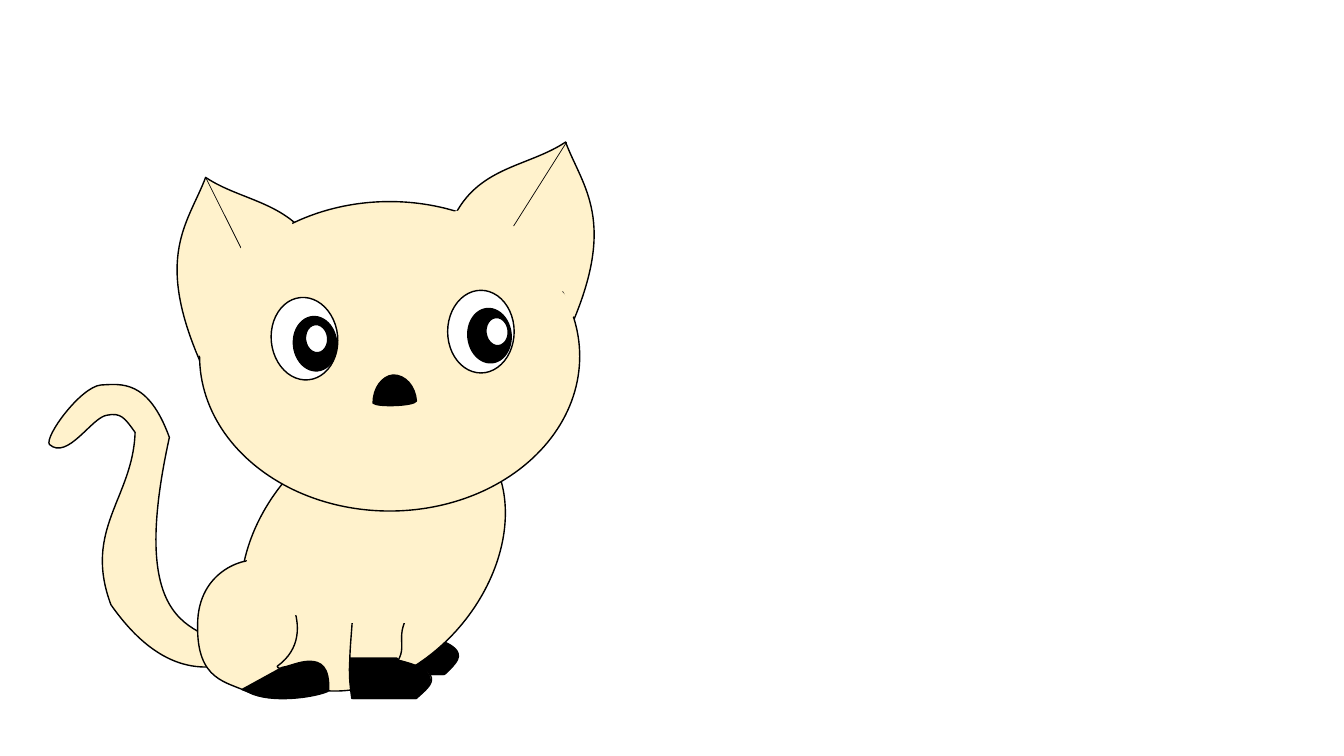
from dataclasses import dataclass
from math import cos, radians, sin
from typing import Optional, Union

from lxml import etree
from pptx import Presentation
from pptx.dml.color import RGBColor
from pptx.enum.shapes import MSO_CONNECTOR as CONN, MSO_SHAPE as SHAPE
from pptx.oxml.ns import qn
from pptx.util import Emu, Pt

PX = 9144  # EMU per px, 100 px to the inch
CURVE_STEPS = 24
CREAM, BLACK, WHITE = "FFF2CC", "000000", "FFFFFF"

Point = tuple[float, float]


@dataclass
class Preset:
    kind: SHAPE
    box: tuple[int, int, int, int]
    fill: str = CREAM
    rotation: float = 0
    line: Optional[str] = BLACK


@dataclass
class Outline:
    """Closed outline; a segment holds 2 numbers (line) or 6 (cubic curve)."""
    start: tuple[int, int]
    segments: list[tuple[int, ...]]
    fill: str = CREAM
    rotation: float = 0


@dataclass
class Stroke:
    start: tuple[int, int]
    end: tuple[int, int]


Part = Union[Preset, Outline, Stroke]


def px(n: float) -> Emu:
    return Emu(round(n * PX))


def rgb(color: str) -> RGBColor:
    return RGBColor.from_string(color)


def moved(outline: Outline, dx: int, dy: int, mirror: bool = False) -> Outline:
    """Shift an outline, after flipping it about x = 0 if mirrored."""
    sign = -1 if mirror else 1

    def move(values: tuple[int, ...]) -> tuple[int, ...]:
        return tuple(v + dy if i % 2 else sign * v + dx for i, v in enumerate(values))

    return Outline(move(outline.start), [move(s) for s in outline.segments],
                   outline.fill, sign * outline.rotation % 360)


def turn(point: Point, degrees: float) -> Point:
    x, y = point
    a = radians(degrees)
    return x * cos(a) - y * sin(a), x * sin(a) + y * cos(a)


def pairs(segment: tuple[int, ...]) -> list[Point]:
    return list(zip(segment[::2], segment[1::2]))


def trace(steps: list[list[Point]]) -> list[Point]:
    """Points along the outline, close enough to measure its box."""
    points = list(steps[0])
    for step in steps[1:]:
        if len(step) == 1:
            points += step
            continue
        ends = [points[-1], *step]
        for i in range(1, CURVE_STEPS + 1):
            t = i / CURVE_STEPS
            weights = ((1 - t) ** 3, 3 * t * (1 - t) ** 2, 3 * t * t * (1 - t), t ** 3)
            points.append((sum(w * e[0] for w, e in zip(weights, ends)),
                           sum(w * e[1] for w, e in zip(weights, ends))))
    return points


def style(sp, fill: str, line: Optional[str]) -> None:
    sp.shadow.inherit = False
    sp.fill.solid()
    sp.fill.fore_color.rgb = rgb(fill)
    if line:
        sp.line.color.rgb = rgb(line)
        sp.line.width = Pt(1)
    else:
        sp.line.fill.background()


def draw_preset(shapes, part: Preset) -> None:
    sp = shapes.add_shape(part.kind, *map(px, part.box))
    sp.rotation = part.rotation
    style(sp, part.fill, part.line)


def draw_outline(shapes, part: Outline) -> None:
    """Points are as seen on the slide, so turn them back before rotating."""
    steps = [[turn(p, -part.rotation) for p in pairs(seg)]
             for seg in (part.start, *part.segments)]
    xs, ys = zip(*trace(steps))
    left, top, right, bottom = min(xs), min(ys), max(xs), max(ys)
    w, h = right - left, bottom - top
    cx, cy = turn((left + w / 2, top + h / 2), part.rotation)
    x, y = cx - w / 2, cy - h / 2

    builder = shapes.build_freeform(px(x), px(y))
    builder.add_line_segments([(px(x + w), px(y + h))], close=True)
    sp = builder.convert_to_shape()
    sp.rotation = part.rotation
    style(sp, part.fill, BLACK)

    contour = sp._element.find(".//" + qn("a:path"))
    for child in list(contour):
        contour.remove(child)
    for i, step in enumerate(steps):
        tag = "a:moveTo" if i == 0 else "a:lnTo" if len(step) == 1 else "a:cubicBezTo"
        command = etree.SubElement(contour, qn(tag))
        for px_x, px_y in step:
            etree.SubElement(command, qn("a:pt"),
                             x=str(int(px(px_x - left))), y=str(int(px(px_y - top))))
    etree.SubElement(contour, qn("a:close"))


def draw_stroke(shapes, part: Stroke) -> None:
    cxn = shapes.add_connector(CONN.STRAIGHT, *map(px, part.start + part.end))
    cxn.line.color.rgb = rgb(BLACK)
    cxn.line.width = Pt(0.5)
    etree.SubElement(cxn._element.spPr, qn("a:effectLst"))


DRAW = {Preset: draw_preset, Outline: draw_outline, Stroke: draw_stroke}


def ellipse(x: int, y: int, w: int, h: int, fill: str = CREAM,
            rotation: float = 0) -> Preset:
    return Preset(SHAPE.OVAL, (x, y, w, h), fill, rotation)


def patch(kind: SHAPE, x: int, y: int, w: int, h: int, rotation: float = 0) -> Preset:
    """Unlined cream area that hides the lines beneath it."""
    return Preset(kind, (x, y, w, h), CREAM, rotation, None)


EYE_TILT = 354.3

back_leg = Outline((377, 576), [
    (401, 547, 412, 527, 448, 490), (459, 626, 446, 617, 415, 632),
    (469, 644, 451, 660, 441, 669), (377, 669), (370, 634, 377, 607, 377, 576)])
back_paw = Outline((422, 629), [
    (375, 629), (375, 631), (374, 643, 375, 656, 377, 669), (440, 669),
    (450, 660, 475, 644, 422, 631), (422, 629)], BLACK)
tail = Outline((49, 441), [
    (44, 433, 80, 384, 100, 382), (120, 381, 147, 376, 168, 434),
    (118, 661, 224, 611, 235, 657), (209, 664, 162, 674, 110, 600),
    (82, 525, 132, 494, 134, 429), (124, 415, 120, 409, 106, 412),
    (91, 414, 67, 457, 49, 441)])
left_ear = Outline((200, 362), [
    (152, 254, 187, 221, 204, 176), (240, 200, 288, 200, 313, 247),
    (200, 362)], CREAM, 329.1)
haunch = Outline((196, 620), [
    (196, 564, 247, 551, 260, 557), (273, 564, 322, 627, 275, 661),
    (276, 672, 328, 632, 325, 686), (311, 692, 269, 698, 247, 687),
    (225, 676, 195, 676, 196, 620)])
front_leg = Outline((350, 599), [
    (413, 599), (388, 629, 405, 638, 395, 655), (449, 668, 423, 683, 413, 693),
    (350, 693), (343, 657, 350, 630, 350, 599)])
nose = Outline((413, 398), [
    (412, 383, 402, 372, 390, 372), (379, 373, 370, 385, 370, 400),
    (374, 404, 410, 403, 413, 398)], BLACK, 357.4)
hind_paw = Outline((307, 656), [
    (297, 656, 287, 661, 280, 662), (280, 662), (240, 684), (246, 686),
    (268, 698, 312, 691, 326, 685), (327, 661, 318, 656, 307, 656)], BLACK, 240.1)

CAT: list[Part] = [
    back_leg,
    back_paw,
    tail,
    ellipse(257, 396, 226, 305, rotation=40.7),  # body
    left_ear,
    moved(left_ear, 765, -35, mirror=True),
    Stroke((204, 176), (265, 298)),
    Stroke((562, 141), (478, 274)),
    ellipse(198, 200, 377, 307),  # head
    ellipse(444, 288, 66, 82, WHITE),
    ellipse(269, 295, 66, 82, WHITE, EYE_TILT),
    haunch,
    front_leg,
    *(ellipse(x, y, 43, 54, BLACK, EYE_TILT) for x, y in ((291, 314), (464, 306))),
    *(ellipse(x, y, 22, 28, WHITE, EYE_TILT) for x, y in ((482, 315), (303, 322))),
    nose,
    patch(SHAPE.RECTANGLE, 334, 564, 91, 54),
    patch(SHAPE.RECTANGLE, 240, 553, 91, 54, 15.3),
    patch(SHAPE.OVAL, 162, 259, 162, 54, 302.3),
    patch(SHAPE.OVAL, 433, 224, 137, 54, 211.3),
    patch(SHAPE.OVAL, 443, 259, 137, 36, 211.3),
    moved(back_paw, -28, 24),
    hind_paw,
]


def main() -> None:
    prs = Presentation()
    prs.slide_width, prs.slide_height = px(1333), px(750)
    s = prs.slides.add_slide(prs.slide_layouts[6])
    cat = s.shapes.add_group_shape()
    for part in CAT:
        DRAW[type(part)](cat.shapes, part)
    prs.save("out.pptx")


if __name__ == "__main__":
    main()
